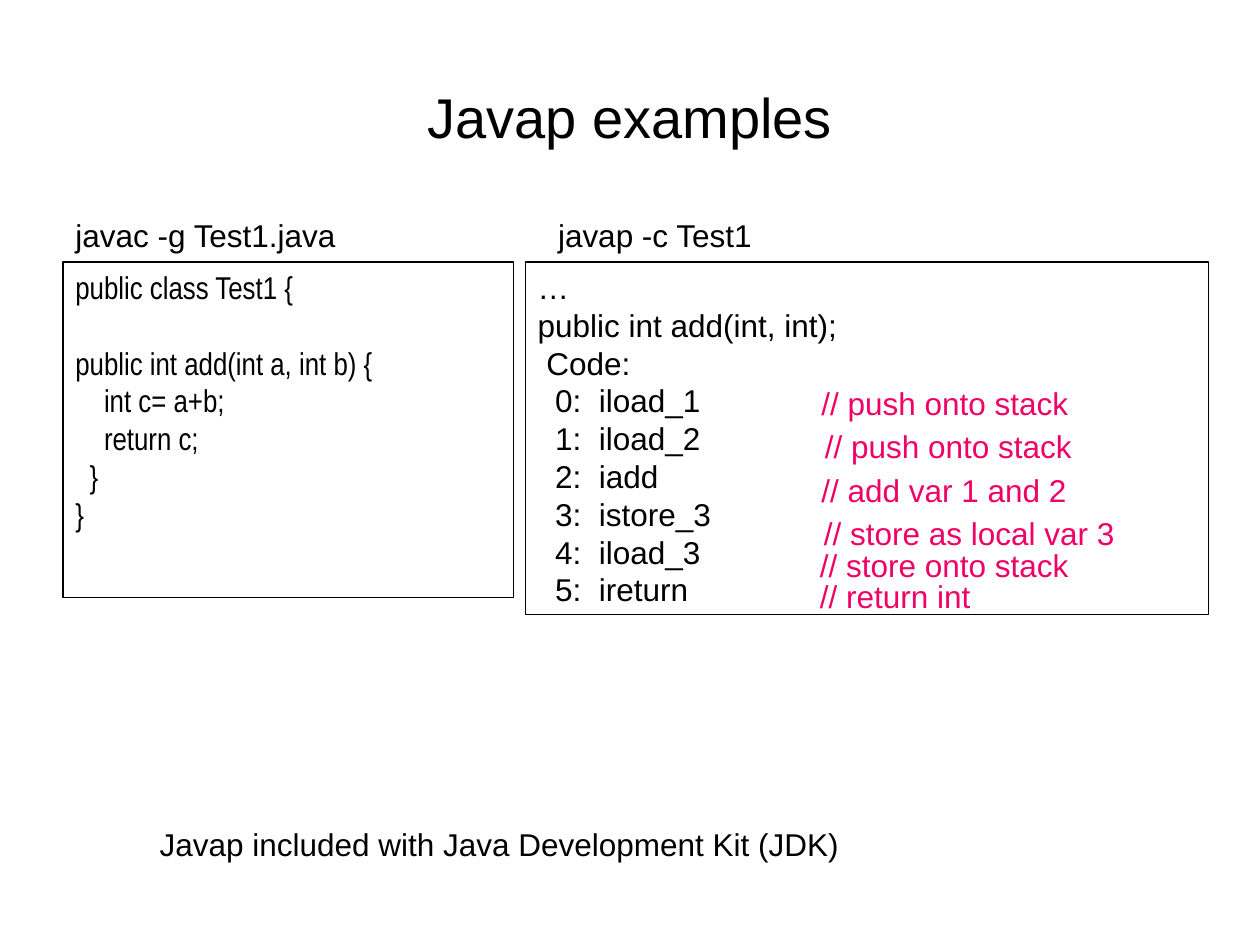
from pptx import Presentation
from pptx.dml.color import RGBColor
from pptx.enum.shapes import MSO_SHAPE as Shape
from pptx.enum.text import MSO_ANCHOR as Anchor, PP_ALIGN as Align
from pptx.util import Cm, Pt

BLACK, PINK = "000000", "F00066"
LABEL_HEIGHT = 1.02

JAVA_SOURCE = """public class Test1 {

public int add(int a, int b) {
    int c= a+b;
    return c;
  }
}"""

BYTECODE = """…
public int add(int, int);
 Code:
  0:  iload_1
  1:  iload_2
  2:  iadd
  3:  istore_3
  4:  iload_3
  5:  ireturn"""

# Comment text with its left and top inside the bytecode panel, in cm
COMMENTS = [
    ("// push onto stack", 5.72, 2.34),
    ("// push onto stack", 5.79, 3.2),
    ("// add var 1 and 2", 5.72, 4.09),
    ("// store as local var 3", 5.77, 4.95),
    ("// store onto stack", 5.69, 5.61),
    ("// return int", 5.69, 6.22),
]


def color(value):
    return RGBColor.from_string(value)


def fill_text(box, text, font="Arial", size=18, ink=BLACK, align=Align.LEFT, anchor=Anchor.TOP):
    frame = box.text_frame
    frame.text = text
    frame.word_wrap = True
    frame.vertical_anchor = anchor
    for para in frame.paragraphs:
        para.alignment = align
        para.line_spacing = Pt(size * 1.2)
        para.font.size = Pt(size)
        for span in para.runs:
            span.font.name = font
            span.font.size = Pt(size)
            span.font.color.rgb = color(ink)


def add_label(page, text, left, top, width, ink=BLACK):
    box = page.shapes.add_textbox(Cm(left), Cm(top), Cm(width), Cm(LABEL_HEIGHT))
    fill_text(box, text, ink=ink)


def add_title(page, text, left, top, width, height):
    title = page.shapes.title
    title.left, title.top, title.width, title.height = Cm(left), Cm(top), Cm(width), Cm(height)
    fill_text(title, text, size=32, align=Align.CENTER, anchor=Anchor.MIDDLE)


def add_code_panel(page, command, code, left, top, width, height, font="Arial", label_shift=0):
    # Outlined code listing
    panel = page.shapes.add_shape(Shape.RECTANGLE, Cm(left), Cm(top), Cm(width), Cm(height))
    panel.shadow.inherit = False
    panel.fill.background()
    panel.line.color.rgb = color(BLACK)
    panel.line.width = Pt(0.75)
    fill_text(panel, code, font=font)
    # Command above it
    add_label(page, command, left + label_shift, top - 1.04, 9.32)


def add_comments(page, comments, left, top, width):
    for text, shift, drop in comments:
        add_label(page, text, left + shift, top + drop, width, ink=PINK)


def main():
    deck = Presentation()
    deck.slide_width, deck.slide_height = Cm(25.4), Cm(19.05)
    page = deck.slides.add_slide(deck.slide_layouts[5])

    add_title(page, "Javap examples", 1.27, 0.76, 22.86, 3.18)

    # Source on the left, bytecode on the right
    panel_top = 5.28
    bytecode_left = 10.59
    add_code_panel(page, "javac -g Test1.java", JAVA_SOURCE, 1.27, panel_top, 9.09, 6.76,
                   font="Arial Narrow")
    add_code_panel(page, "javap -c Test1", BYTECODE, bytecode_left, panel_top, 13.77, 7.11,
                   label_shift=0.41)
    add_comments(page, COMMENTS, bytecode_left, panel_top, 8.46)

    # Closing remark
    add_label(page, "Javap included with Java Development Kit (JDK)", 2.97, 16.51, 18.85)

    deck.save("out.pptx")


if __name__ == "__main__":
    main()
